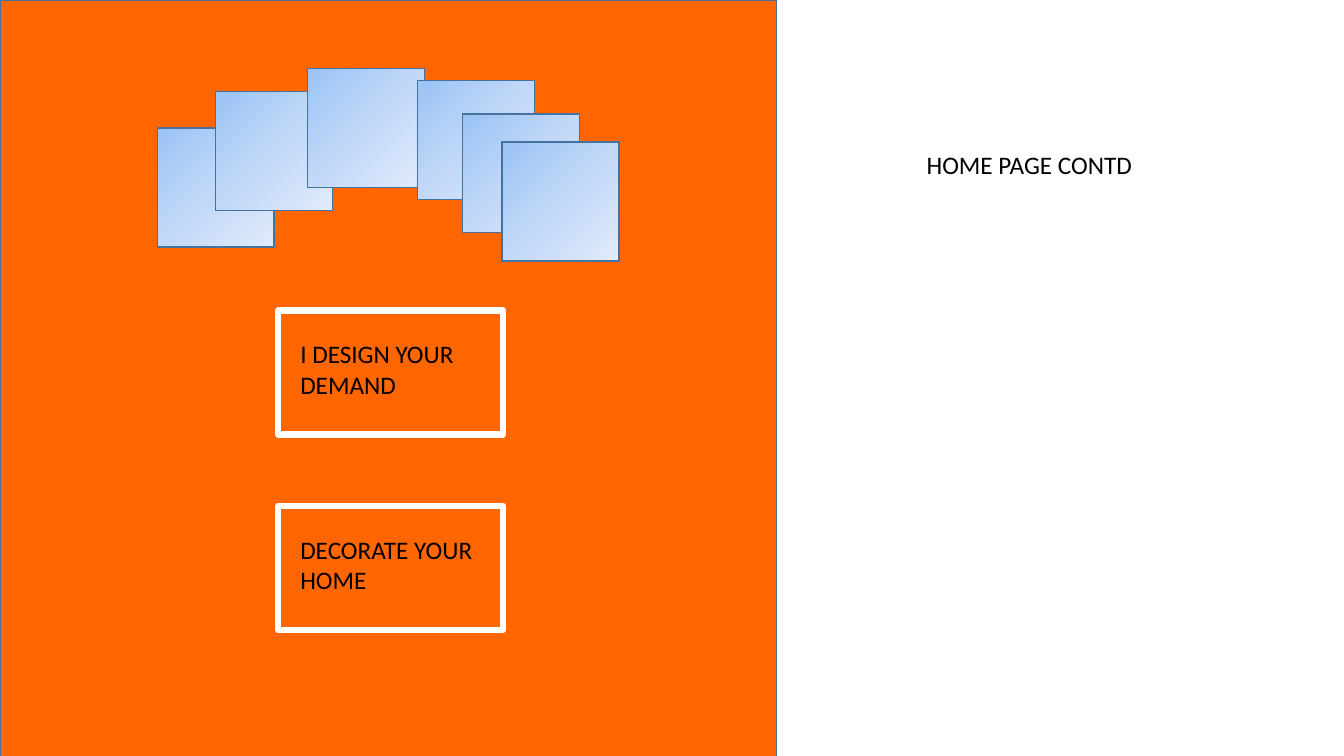
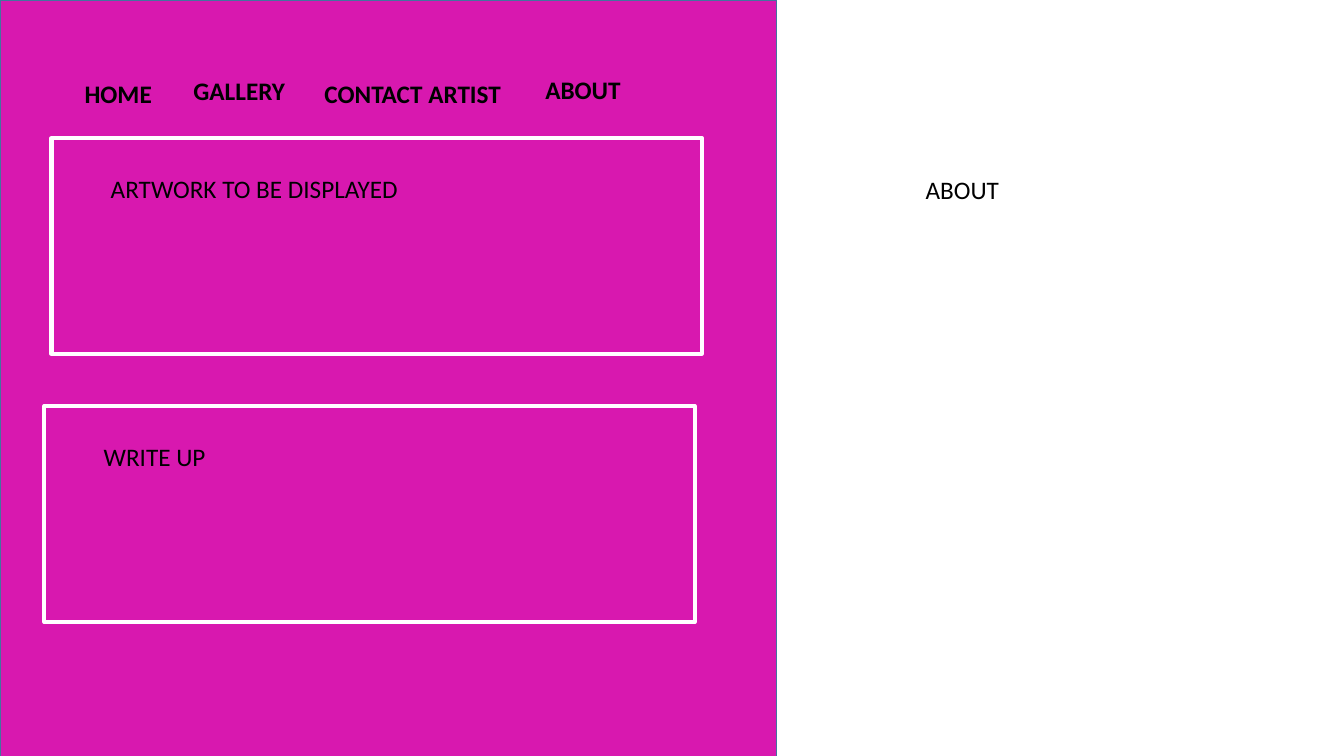
from copy import deepcopy
from dataclasses import dataclass

from pptx import Presentation
from pptx.dml.color import RGBColor
from pptx.enum.shapes import MSO_SHAPE
from pptx.enum.text import MSO_ANCHOR, MSO_AUTO_SIZE, PP_ALIGN
from pptx.oxml.ns import qn
from pptx.shapes.autoshape import Shape
from pptx.slide import Slide
from pptx.util import Inches, Pt

RECT = MSO_SHAPE.RECTANGLE
TOP = MSO_ANCHOR.TOP
LEFT = PP_ALIGN.LEFT
FIXED = MSO_AUTO_SIZE.NONE

COLORS = {
    "orange": "FF6600",
    "pink": "D818AF",
    "edge": "43739E",
    "white": "FFFFFF",
    "black": "000000",
    "deep": "9AC3F5",
    "mid": "C2D8F8",
    "pale": "E1EBFB",
}
FONT = "Calibri"
SIZE = 18
LINE = 0.4
TITLE_ONLY = 5


@dataclass(frozen=True)
class Box:
    x: float
    y: float
    w: float
    h: float


@dataclass(frozen=True)
class Label:
    text: str
    box: Box
    bold: bool = False


@dataclass(frozen=True)
class Frame:
    box: Box
    weight: float
    label: Label


PANEL = Box(0, 0, 7.7, 7.72)
TILES = [
    Box(x, y, 1.16, 1.18)
    for x, y in [
        (1.56, 1.27), (2.14, 0.91), (3.05, 0.68),
        (4.14, 0.8), (4.59, 1.13), (4.98, 1.41),
    ]
]
CARDS = [
    Frame(Box(2.76, y, 2.23, 1.23), 4.5, Label(text, Box(2.88, y + 0.23, 2, 0.71)))
    for text, y in [("I DESIGN YOUR DEMAND", 3.08), ("DECORATE YOUR HOME", 5.02)]
]
AREAS = [
    Frame(Box(x, y, 6.45, 2.14), 3, Label(text, Box(x + 0.49, y + 0.3, 5.04, LINE)))
    for text, x, y in [("ARTWORK TO BE DISPLAYED", 0.51, 1.37), ("WRITE UP", 0.44, 4.03)]
]
MENU = [
    Label(text, Box(x, y, w, LINE), True)
    for text, x, y, w in [
        ("HOME", 0.74, 0.73, 0.98),
        ("GALLERY", 1.82, 0.7, 1.19),
        ("CONTACT ARTIST", 3.12, 0.73, 2.14),
        ("ABOUT", 5.31, 0.69, 2.14),
    ]
]


def color(name: str) -> RGBColor:
    return RGBColor.from_string(COLORS[name])


def spot(box: Box) -> tuple:
    return Inches(box.x), Inches(box.y), Inches(box.w), Inches(box.h)


def write(shape: Shape, label: Label) -> None:
    frame = shape.text_frame
    frame.text = label.text
    frame.word_wrap = True
    frame.auto_size = FIXED
    frame.vertical_anchor = TOP
    para = frame.paragraphs[0]
    para.alignment = LEFT
    para.font.name = FONT
    para.font.size = Pt(SIZE)
    para.font.bold = label.bold
    para.font.color.rgb = color("black")


def add_label(slide: Slide, label: Label) -> None:
    write(slide.shapes.add_textbox(*spot(label.box)), label)


def add_rect(slide: Slide, box: Box, line: str, weight: float) -> Shape:
    shape = slide.shapes.add_shape(RECT, *spot(box))
    shape.shadow.inherit = False
    shape.line.color.rgb = color(line)
    shape.line.width = Pt(weight)
    return shape


def add_frame(slide: Slide, frame: Frame) -> None:
    add_rect(slide, frame.box, "white", frame.weight).fill.background()
    add_label(slide, frame.label)


def add_tile(slide: Slide, box: Box) -> None:
    tile = add_rect(slide, box, "edge", 1)
    tile.fill.gradient()
    tile.fill.gradient_angle = 315
    stops = tile._element.spPr.find(qn("a:gradFill")).find(qn("a:gsLst"))
    stops.insert(1, deepcopy(stops[0]))
    shades = [("deep", 0), ("mid", 0.5), ("pale", 1)]
    for stop, (name, place) in zip(tile.fill.gradient_stops, shades):
        stop.color.rgb = color(name)
        stop.position = place


def add_page(deck: Presentation, fill: str, title: Label) -> Slide:
    slide = deck.slides.add_slide(deck.slide_layouts[TITLE_ONLY])
    head = slide.shapes.title
    head.left, head.top, head.width, head.height = spot(title.box)
    write(head, title)
    panel = add_rect(slide, PANEL, "edge", 1)
    panel.fill.solid()
    panel.fill.fore_color.rgb = color(fill)
    return slide


def add_home(deck: Presentation) -> None:
    slide = add_page(deck, "orange", Label("HOME PAGE CONTD", Box(9.09, 1.43, 2.8, LINE)))
    for card in CARDS:
        add_frame(slide, card)
    for tile in TILES:
        add_tile(slide, tile)


def add_about(deck: Presentation) -> None:
    slide = add_page(deck, "pink", Label("ABOUT", Box(9.08, 1.68, 2.81, LINE)))
    for item in MENU:
        add_label(slide, item)
    for area in AREAS:
        add_frame(slide, area)


def main() -> None:
    deck = Presentation()
    deck.slide_width = Inches(13.33)
    deck.slide_height = Inches(7.5)
    add_home(deck)
    add_about(deck)
    deck.save("out.pptx")


if __name__ == "__main__":
    main()
